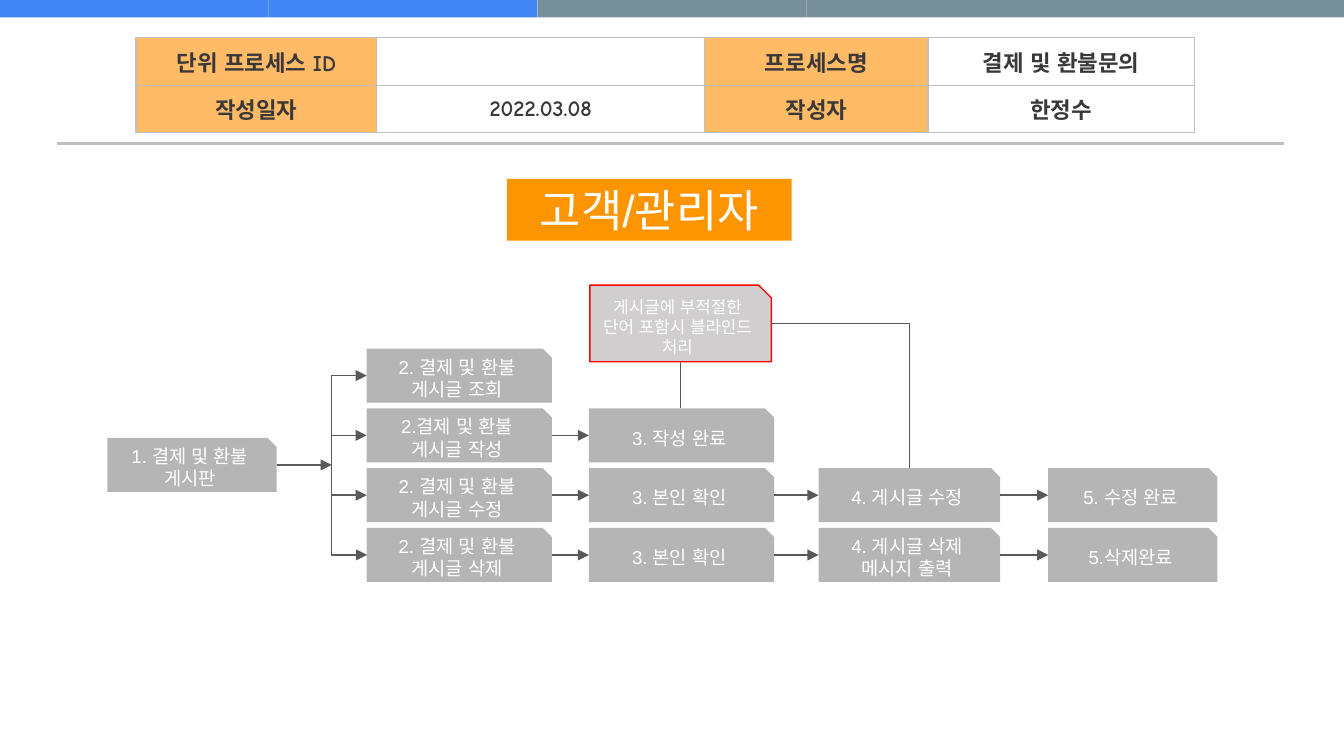
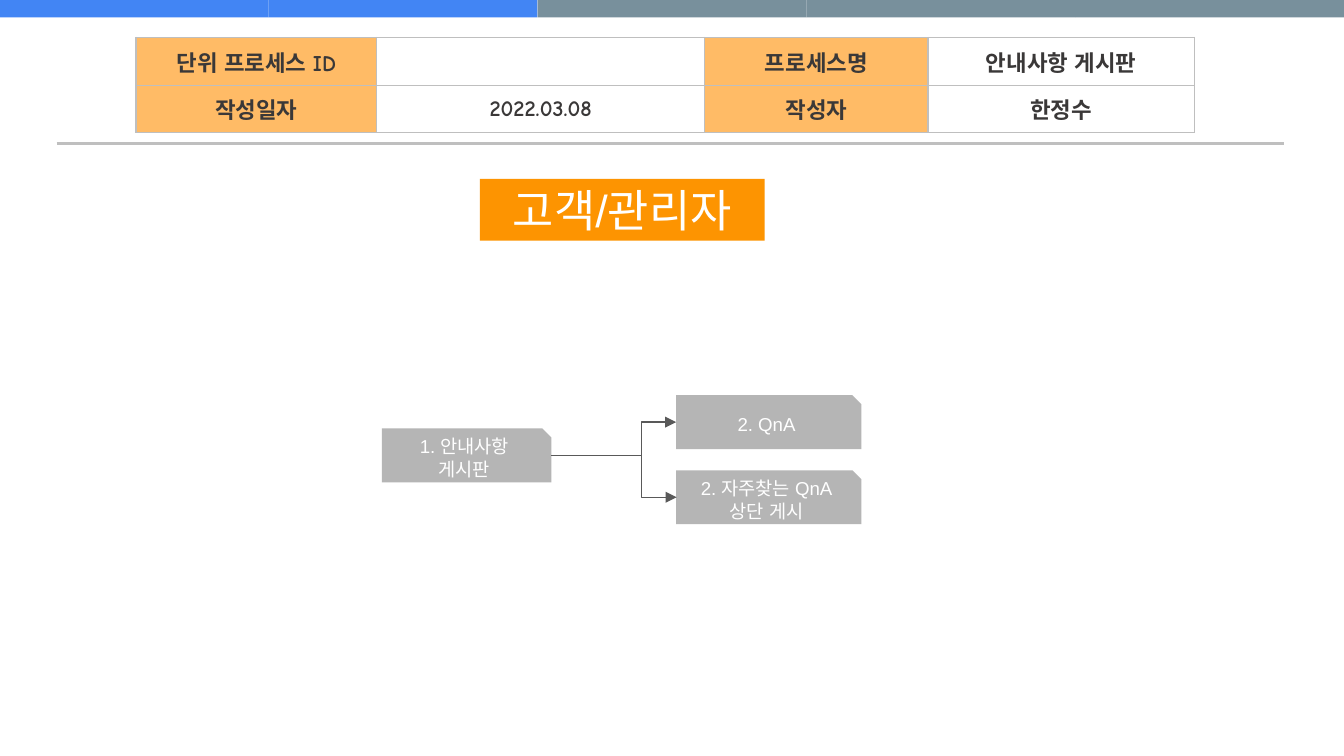
from dataclasses import dataclass

from lxml.etree import SubElement
from pptx import Presentation
from pptx.dml.color import RGBColor
from pptx.enum.dml import MSO_LINE
from pptx.enum.lang import MSO_LANGUAGE_ID as Lang
from pptx.enum.shapes import MSO_CONNECTOR as Connector, MSO_SHAPE as Shape
from pptx.enum.text import MSO_ANCHOR as Anchor, MSO_AUTO_SIZE as AutoSize, PP_ALIGN as Align
from pptx.oxml import parse_xml
from pptx.oxml.ns import nsdecls, qn
from pptx.util import Cm, Pt


@dataclass(frozen=True)
class Theme:
    blue: str = "4285F4"
    slate: str = "78909C"
    rule: str = "BFBFBF"
    label: str = "FFAB40"
    white: str = "FFFFFF"
    ink: str = "3A3838"
    banner: str = "FD9401"
    step: str = "B5B5B5"
    notice: str = "D0CECE"
    alert: str = "FF0000"
    link: str = "595959"
    table_font: str = "Comic Neue"
    flow_font: str = "Arial"
    banner_size: int = 24
    table_size: int = 12
    step_size: int = 10
    notice_size: int = 9
    hairline: float = 0.75
    snip: float = 0.167


THEME = Theme()

# Content
BANNER = "고객/관리자"
DATE, AUTHOR = "2022.03.08", "한정수"

PAYMENT = {
    "process": "결제 및 환불문의",
    "banner_left": 9.58,
    "start": "1. 결제 및 환불 게시판",
    "rows": [
        ["2. 결제 및 환불 게시글 조회"],
        ["2.결제 및 환불 게시글 작성", "3. 작성 완료"],
        ["2. 결제 및 환불 게시글 수정", "3. 본인 확인", "4. 게시글 수정", "5. 수정 완료"],
        ["2. 결제 및 환불 게시글 삭제", "3. 본인 확인", "4. 게시글 삭제\n메시지 출력", "5.삭제완료"],
    ],
    "start_at": (2.03, 8.28),
    "columns": [(6.93, 3.5), (11.13, 3.5), (15.47, 3.43), (19.81, 3.2)],
    "top": 6.59,
    "pitch": 1.13,
    "start_arrow": True,
}
BLIND_NOTICE = "게시글에 부적절한 단어 포함시 블라인드 처리"

GUIDE = {
    "process": "안내사항 게시판",
    "banner_left": 9.07,
    "start": "1. 안내사항 게시판",
    "rows": [["2. QnA"], ["2. 자주찾는 QnA\n상단 게시"]],
    "start_at": (7.22, 8.1),
    "columns": [(12.78, 3.5)],
    "top": 7.47,
    "pitch": 1.42,
    "start_arrow": False,
}

# Shared measures in centimetres
SLIDE_WIDTH, SLIDE_HEIGHT = 25.4, 14.29
BANDS = [THEME.blue] * 2 + [THEME.slate] * 3
TABLE_AT = (2.57, 0.71)
TABLE_COLUMNS = [4.55, 6.2, 4.22, 5.03]
TABLE_ROW = 0.9
STEP_HEIGHT, START_WIDTH = 1.02, 3.2
SPINE_REACH, SPINE_WIDTH = 0.66, 0.01
NOTICE_AT = (11.15, 5.39, 3.43, 1.45)


def rgb(value):
    return RGBColor.from_string(value)


def paint(part, fill, outline=None):
    part.shadow.inherit = False
    part.fill.solid()
    part.fill.fore_color.rgb = rgb(fill)
    if outline:
        part.line.color.rgb = rgb(outline)
        part.line.width = Pt(THEME.hairline)
    else:
        part.line.fill.background()


def write(frame, text, size, font, color, bold=False):
    frame.text = text
    for paragraph in frame.paragraphs:
        paragraph.alignment = Align.CENTER
        for run in paragraph.runs:
            run.font.size, run.font.name, run.font.bold = Pt(size), font, bold
            run.font.color.rgb = rgb(color)
            run.font.language_id = Lang.KOREAN


def write_box(box, text, size):
    frame = box.text_frame
    frame.word_wrap, frame.auto_size = True, AutoSize.NONE
    frame.vertical_anchor = Anchor.MIDDLE
    frame.margin_left = frame.margin_right = Cm(0.25)
    frame.margin_top = frame.margin_bottom = Cm(0.13)
    write(frame, text, size, THEME.flow_font, THEME.white)


def add_step(slide, text, left, top, width, height=STEP_HEIGHT,
             fill=THEME.step, outline=None, size=THEME.step_size):
    step = slide.shapes.add_shape(
        Shape.SNIP_1_RECTANGLE, Cm(left), Cm(top), Cm(width), Cm(height))
    step.adjustments[0] = THEME.snip
    paint(step, fill, outline)
    write_box(step, text, size)


def add_link(slide, begin, end, head=False, tail=False, bend=None,
             color=THEME.link, width=THEME.hairline):
    """Draw a line; bend is the turning point as a share of its width."""
    kind = Connector.STRAIGHT if bend is None else Connector.ELBOW
    link = slide.shapes.add_connector(kind, *map(Cm, (*begin, *end)))
    link.line.color.rgb = rgb(color)
    link.line.width = Pt(width)
    link.line.dash_style = MSO_LINE.SOLID
    properties = link._element.spPr
    SubElement(properties, qn("a:effectLst"))
    if bend is not None:
        guides = properties.find(qn("a:prstGeom")).find(qn("a:avLst"))
        SubElement(guides, qn("a:gd"), name="adj1", fmla=f"val {round(bend * 100000)}")
    outline = properties.find(qn("a:ln"))
    for wanted, tag in ((head, "a:headEnd"), (tail, "a:tailEnd")):
        if wanted:
            SubElement(outline, qn(tag), type="triangle")


def add_banner(slide, left):
    banner = slide.shapes.title
    banner.left, banner.top = Cm(left), Cm(3.38)
    banner.width, banner.height = Cm(5.38), Cm(1.17)
    banner._element.spPr.append(parse_xml(
        f'<a:prstGeom {nsdecls("a")} prst="snip1Rect"><a:avLst>'
        f'<a:gd name="adj" fmla="val {round(THEME.snip * 100000)}"/>'
        '</a:avLst></a:prstGeom>'))
    banner.fill.solid()
    banner.fill.fore_color.rgb = rgb(THEME.banner)
    write_box(banner, BANNER, THEME.banner_size)


def format_cell(cell, text, is_label):
    cell.fill.solid()
    cell.fill.fore_color.rgb = rgb(THEME.label if is_label else THEME.white)
    properties = cell._tc.get_or_add_tcPr()
    if is_label:
        color = properties.find(qn("a:solidFill")).find(qn("a:srgbClr"))
        SubElement(color, qn("a:alpha"), val="80000")
    for position, side in enumerate("LRTB"):
        properties.insert(position, parse_xml(
            f'<a:ln{side} {nsdecls("a")} w="{Pt(THEME.hairline)}"><a:solidFill>'
            f'<a:srgbClr val="{THEME.rule}"/></a:solidFill></a:ln{side}>'))
    cell.vertical_anchor = Anchor.MIDDLE
    cell.margin_left = cell.margin_right = Cm(0.2)
    cell.margin_top = cell.margin_bottom = Cm(0.1)
    write(cell.text_frame, text, THEME.table_size, THEME.table_font, THEME.ink, bold=True)
    if not text:
        SubElement(cell.text_frame.paragraphs[0]._p, qn("a:endParaRPr"),
                   sz=str(THEME.table_size * 100))


def add_header(slide, process):
    # Colour bands and rule
    band_width = SLIDE_WIDTH / len(BANDS)
    for index, color in enumerate(BANDS):
        band = slide.shapes.add_shape(
            Shape.RECTANGLE, Cm(index * band_width), 0, Cm(band_width), Cm(0.33))
        paint(band, color)
    add_link(slide, (1.07, 2.71), (24.26, 2.71), color=THEME.rule, width=1.5)

    # Process table
    facts = [["단위 프로세스 ID", "", "프로세스명", process],
             ["작성일자", DATE, "작성자", AUTHOR]]
    table = slide.shapes.add_table(
        len(facts), len(TABLE_COLUMNS), *map(Cm, TABLE_AT),
        Cm(sum(TABLE_COLUMNS)), Cm(TABLE_ROW * len(facts))).table
    table.first_row = table.horz_banding = False
    for column, width in zip(table.columns, TABLE_COLUMNS):
        column.width = Cm(width)
    for row, texts in enumerate(facts):
        table.rows[row].height = Cm(TABLE_ROW)
        for column, text in enumerate(texts):
            format_cell(table.cell(row, column), text, is_label=column % 2 == 0)


def add_flow(slide, flow):
    columns, rows = flow["columns"], flow["rows"]
    tops = [flow["top"] + flow["pitch"] * index for index in range(len(rows))]
    middles = [top + STEP_HEIGHT / 2 for top in tops]

    # Steps, each joined to the next one in its row
    add_step(slide, flow["start"], *flow["start_at"], START_WIDTH)
    for texts, top, middle in zip(rows, tops, middles):
        previous_right = None
        for text, (left, width) in zip(texts, columns):
            add_step(slide, text, left, top, width)
            if previous_right:
                add_link(slide, (previous_right, middle), (left, middle), tail=True)
            previous_right = left + width

    # Branch from the start to every row
    first_left = columns[0][0]
    spine = first_left - SPINE_REACH
    add_link(slide, (first_left, middles[0]), (first_left + SPINE_WIDTH, middles[-1]),
             head=True, tail=True, bend=-SPINE_REACH / SPINE_WIDTH)
    for middle in middles[1:-1]:
        add_link(slide, (spine, middle), (first_left, middle), tail=True)
    start_left, start_top = flow["start_at"]
    start_middle = start_top + STEP_HEIGHT / 2
    add_link(slide, (start_left + START_WIDTH, start_middle), (spine, start_middle),
             tail=flow["start_arrow"])


def add_blind_notice(slide, flow):
    left, top, width, height = NOTICE_AT
    add_step(slide, BLIND_NOTICE, *NOTICE_AT, fill=THEME.notice,
             outline=THEME.alert, size=THEME.notice_size)
    center = left + width / 2
    written_top = flow["top"] + flow["pitch"]
    add_link(slide, (center, top + height), (center, written_top))
    edit_left, edit_width = flow["columns"][2]
    add_link(slide, (left + width, top + height / 2),
             (edit_left + edit_width / 2, written_top + flow["pitch"]), bend=1)


def add_process_slide(deck, flow):
    slide = deck.slides.add_slide(deck.slide_layouts.get_by_name("Title Only"))
    add_header(slide, flow["process"])
    add_banner(slide, flow["banner_left"])
    add_flow(slide, flow)
    return slide


def main():
    deck = Presentation()
    deck.slide_width, deck.slide_height = Cm(SLIDE_WIDTH), Cm(SLIDE_HEIGHT)
    payment_slide = add_process_slide(deck, PAYMENT)
    add_blind_notice(payment_slide, PAYMENT)
    add_process_slide(deck, GUIDE)
    deck.save("out.pptx")


if __name__ == "__main__":
    main()
